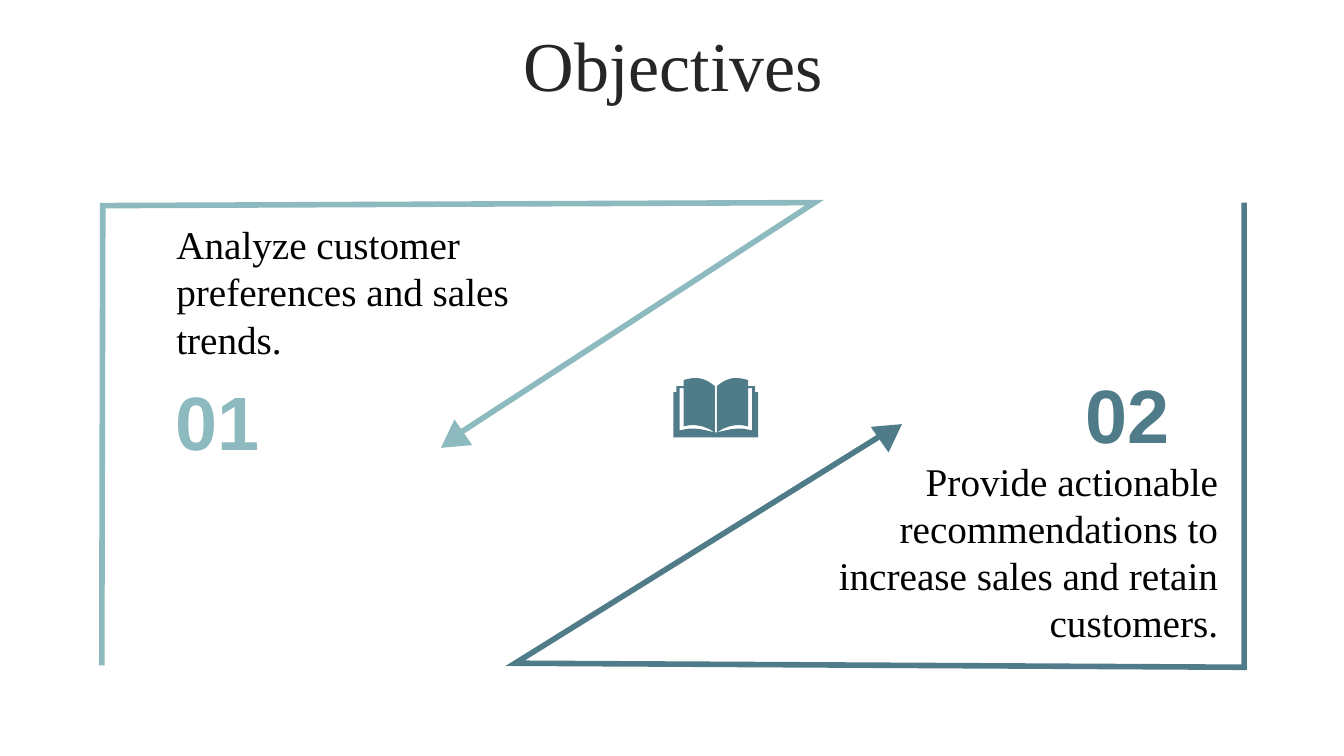
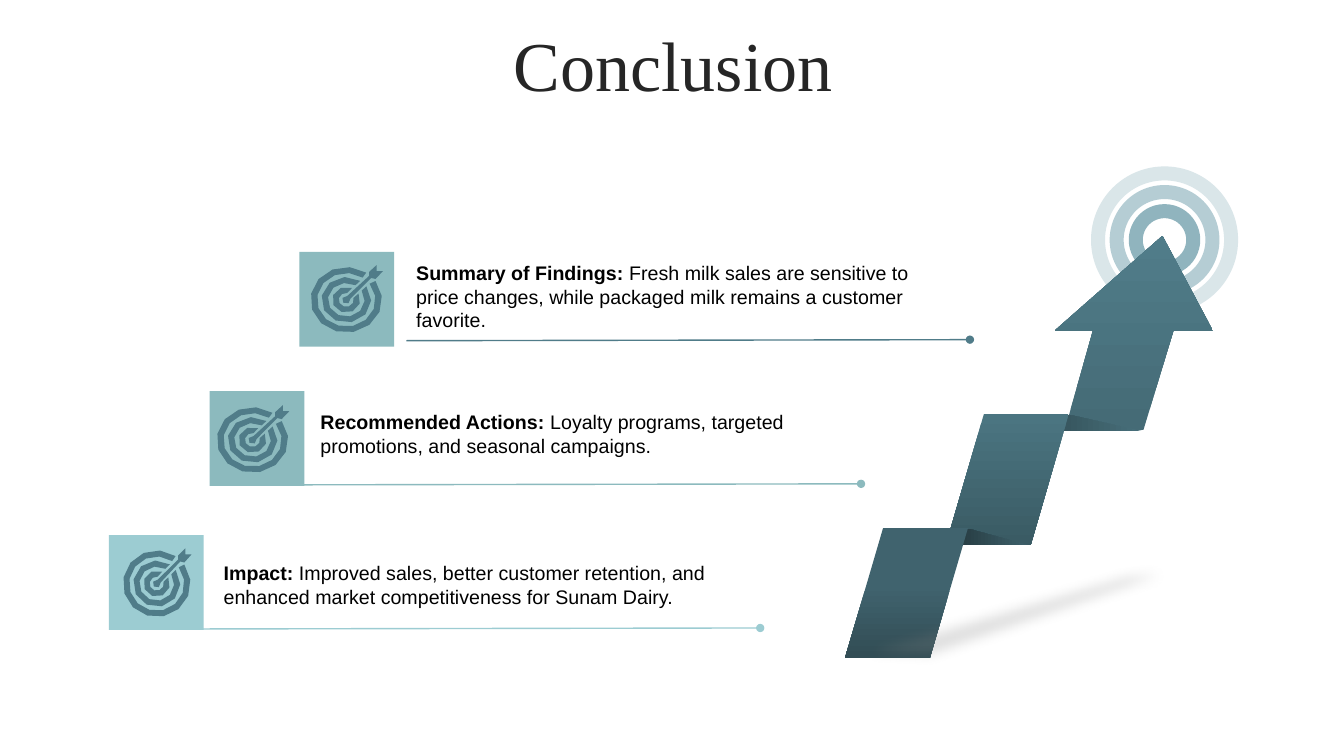
"""Build the Objectives and Conclusion slides."""
from dataclasses import dataclass
from math import cos, radians, sin

from pptx import Presentation
from pptx.dml.color import RGBColor
from pptx.enum.shapes import MSO_CONNECTOR, MSO_SHAPE
from pptx.enum.text import MSO_ANCHOR, MSO_AUTO_SIZE, PP_ALIGN
from pptx.oxml.ns import qn
from pptx.util import Inches, Pt
from lxml.etree import SubElement


@dataclass(frozen=True)
class Theme:
    serif: str = "Times New Roman"
    sans: str = "Arial"
    title_size: int = 50
    number_size: int = 54
    body_size: int = 28
    note_size: int = 14
    title: str = "262626"
    ink: str = "000000"
    dark: str = "507C89"
    mid: str = "8CBABE"
    light: str = "9CCCD2"
    shade: str = "808080"


THEME = Theme()

OBJECTIVES = [
    dict(number="01", text="Analyze customer preferences and sales trends.",
         color=THEME.mid, align=PP_ALIGN.LEFT,
         number_at=(1.55, 3.66, 1.22, 1.01), text_at=(1.65, 2.14, 4.49, 1.51),
         frame=[(1.01, 6.6), (1.02, 2.04), (8.08, 2.01), (4.57, 4.29)],
         head_at=(4.33, 4.23, 0.31, 0.27), turn=235.2),
    dict(number="02",
         text="Provide actionable recommendations to increase sales and retain customers.",
         color=THEME.dark, align=PP_ALIGN.RIGHT,
         number_at=(10.57, 3.59, 1.22, 1.01), text_at=(7.73, 4.49, 4.45, 1.99),
         frame=[(12.34, 2.01), (12.34, 6.62), (5.11, 6.58), (8.74, 4.32)],
         head_at=(8.68, 4.15, 0.31, 0.27), turn=55.2),
]

CONCLUSIONS = [
    dict(lead="Summary of Findings:",
         text=" Fresh milk sales are sensitive to price changes, "
              "while packaged milk remains a customer favorite.",
         text_at=(4.03, 2.54, 5.2, 0.81), tile=(2.97, 2.5), icon=(3.08, 2.63, 0.72, 0.67),
         rule=(4.03, 3.38), rule_color=THEME.dark, tile_color=THEME.mid),
    dict(lead="Recommended Actions:",
         text=" Loyalty programs, targeted promotions, and seasonal campaigns.",
         text_at=(3.08, 4.02, 5.1, 0.57), tile=(2.08, 3.88), icon=(2.15, 4.02, 0.72, 0.67),
         rule=(2.95, 4.81), rule_color=THEME.mid, tile_color=THEME.mid),
    dict(lead="Impact:",
         text=" Improved sales, better customer retention, "
              "and enhanced market competitiveness for Sunam Dairy.",
         text_at=(2.12, 5.52, 5.1, 0.57), tile=(1.08, 5.31), icon=(1.22, 5.44, 0.68, 0.68),
         rule=(1.95, 6.24), rule_color=THEME.light, tile_color=THEME.light),
]
TILE_SIZE = 0.94
RULE_RUN, RULE_RISE = 5.59, 0.01

BULLSEYE = (11.55, 2.38)
BULLSEYE_RINGS = [(0.95, "B5CDD4"), (0.57, "90B4BE"), (1.32, "DAE6E9")]
ARROW = [(11.53, 2.34), (12.03, 3.28), (11.64, 3.28), (11.34, 4.27),
         (10.56, 4.27), (10.84, 3.28), (10.46, 3.28)]
ARROW_STOPS = [(0, "456B76"), (0.99, "507C89")]
RIBBON = [
    dict(fold=[(11.34, 4.28), (10.63, 4.12), (9.78, 4.12), (10.29, 4.28)],
         fold_stops=[(0, "48707B"), (0.99, "263C42")],
         panel_at=(9.38, 4.11, 1.22, 1.3),
         panel_stops=[(0, "4B7581"), (0.99, "3A5B64")]),
    dict(fold=[(10.21, 5.41), (9.62, 5.25), (8.76, 5.24), (9.22, 5.4)],
         fold_stops=[(0, "3E616B"), (0.99, "0E1517")],
         panel_at=(8.38, 5.24, 1.22, 1.29),
         panel_stops=[(0.44, "40636E"), (0.99, "324D55")]),
]
PANEL_SLANT = 0.31
SHADOW = [(7.82, 6.54), (9.25, 6.6), (9.36, 6.59), (12.56, 5.49), (11.05, 5.61)]


def bezier(start, first, second, end, steps=5):
    def blend(t, axis):
        return ((1 - t) ** 3 * start[axis] + 3 * (1 - t) ** 2 * t * first[axis]
                + 3 * (1 - t) * t ** 2 * second[axis] + t ** 3 * end[axis])
    return [(blend(i / steps, 0), blend(i / steps, 1)) for i in range(steps + 1)]


def arc(radius, start, end, steps):
    angles = [radians(start + (end - start) * i / steps) for i in range(steps + 1)]
    return [(radius * cos(a), -radius * sin(a)) for a in angles]


def book_contours():
    leaf = (bezier((6.78, 3.77), (6.82, 3.76), (6.86, 3.75), (6.9, 3.75))
            + bezier((6.9, 3.75), (6.97, 3.75), (7.03, 3.78), (7.09, 3.83))
            + bezier((7.09, 4.29), (6.99, 4.22), (6.88, 4.2), (6.78, 4.23)))
    cover = ([(6.68, 4.34), (6.68, 3.89), (6.71, 3.89), (6.71, 3.83),
              (6.78, 3.83), (6.78, 3.85), (6.74, 3.85)]
             + bezier((6.74, 4.27), (6.88, 4.23), (6.96, 4.26), (7.09, 4.29))
             + [(7.1, 4.29), (7.1, 4.34)])
    mirrored = [[(14.2 - x, y) for x, y in side] for side in (leaf, cover)]
    return [leaf, cover] + mirrored


def dartboard_contours(left, top, width, height):
    outer = arc(0.33, 35, -304, 12) + arc(0.27, -304, 37, 12)
    middle = arc(0.23, 36, -304, 9) + arc(0.17, -300, 33, 9)
    inner = arc(0.13, 29, -294, 7) + arc(0.07, -278, 16, 7)
    dart = ([(0.28, -0.35), (0.28, -0.29), (0.34, -0.29), (0.27, -0.21),
             (0.23, -0.22)] + arc(0.04, 16, -284, 4) + [(0.21, -0.24), (0.21, -0.28)])
    return [[(left + (x + 0.33) * width / 0.67, top + (y + 0.35) * height / 0.68)
             for x, y in contour] for contour in (outer, middle, inner, dart)]


def style(shape, fill=None, stops=None, angle=0, line=None, width=1):
    shape.shadow.inherit = False
    if stops:
        shape.fill.gradient()
        shape.fill.gradient_angle = angle
        for stop, (position, color) in zip(shape.fill.gradient_stops, stops):
            stop.position = position
            stop.color.rgb = RGBColor.from_string(color)
    elif fill:
        shape.fill.solid()
        shape.fill.fore_color.rgb = RGBColor.from_string(fill)
    else:
        shape.fill.background()
    if line:
        shape.line.color.rgb = RGBColor.from_string(line)
        shape.line.width = Pt(width)
    else:
        shape.line.fill.background()
    return shape


def add_preset(page, kind, at, **look):
    return style(page.shapes.add_shape(kind, *map(Inches, at)), **look)


def add_outline(page, contours, close=True, **look):
    contours = [[(Inches(x), Inches(y)) for x, y in contour] for contour in contours]
    builder = page.shapes.build_freeform(*contours[0][0])
    for index, contour in enumerate(contours):
        if index:
            builder.move_to(*contour[0])
        builder.add_line_segments(contour[1:], close=close)
    return style(builder.convert_to_shape(), **look)


def add_text(page, text, at, lead="", size=THEME.note_size, font=THEME.sans,
             color=THEME.ink, bold=False, align=PP_ALIGN.LEFT,
             anchor=MSO_ANCHOR.TOP, spacing=None, grow=True):
    box = page.shapes.add_textbox(*map(Inches, at))
    frame = box.text_frame
    frame.word_wrap = True
    frame.vertical_anchor = anchor
    frame.auto_size = MSO_AUTO_SIZE.SHAPE_TO_FIT_TEXT if grow else MSO_AUTO_SIZE.NONE
    para = frame.paragraphs[0]
    para.alignment = align
    if spacing:
        para.line_spacing = spacing
    for words, heavy in ((lead, True), (text, bold)):
        if words:
            span = para.add_run()
            span.text = words
            span.font.name = font
            span.font.size = Pt(size)
            span.font.bold = heavy
            span.font.color.rgb = RGBColor.from_string(color)


def add_rule(page, start, color):
    x, y = start
    rule = page.shapes.add_connector(
        MSO_CONNECTOR.STRAIGHT, Inches(x), Inches(y),
        Inches(x + RULE_RUN), Inches(y - RULE_RISE))
    rule.line.color.rgb = RGBColor.from_string(color)
    rule.line.width = Pt(1)
    properties = rule.element.spPr
    SubElement(properties.find(qn("a:ln")), qn("a:tailEnd"), type="oval")
    SubElement(properties, qn("a:effectLst"))


def add_page(deck, title):
    page = deck.slides.add_slide(deck.slide_layouts[6])
    add_text(page, title, (0.35, 0.31, 12.66, 0.79), size=THEME.title_size,
             font=THEME.serif, color=THEME.title, align=PP_ALIGN.CENTER,
             anchor=MSO_ANCHOR.MIDDLE, spacing=0.8, grow=False)
    return page


def build_objectives(deck):
    page = add_page(deck, "Objectives")
    for goal in OBJECTIVES:
        frame = add_outline(page, [goal["frame"]], close=False,
                            line=goal["color"], width=4)
        SubElement(frame.element.spPr.find(qn("a:ln")), qn("a:miter"), lim="800000")
        head = add_preset(page, MSO_SHAPE.ISOSCELES_TRIANGLE, goal["head_at"],
                          fill=goal["color"])
        head.rotation = goal["turn"]
        add_text(page, goal["number"], goal["number_at"], size=THEME.number_size,
                 color=goal["color"], bold=True, align=PP_ALIGN.CENTER,
                 anchor=MSO_ANCHOR.MIDDLE)
        add_text(page, goal["text"], goal["text_at"], size=THEME.body_size,
                 font=THEME.serif, align=goal["align"])
    add_outline(page, book_contours(), fill=THEME.dark)


def add_rising_arrow(page):
    x, y = BULLSEYE
    for size, color in BULLSEYE_RINGS:
        add_preset(page, MSO_SHAPE.OVAL, (x - size / 2, y - size / 2, size, size),
                   line=color, width=10)
    add_outline(page, [ARROW], stops=ARROW_STOPS, angle=90)
    for part in RIBBON:
        add_outline(page, [part["fold"]], stops=part["fold_stops"], angle=180)
        panel = add_preset(page, MSO_SHAPE.PARALLELOGRAM, part["panel_at"],
                           stops=part["panel_stops"], angle=270)
        panel.adjustments[0] = PANEL_SLANT


def add_soft_shadow(page):
    properties = add_outline(page, [SHADOW], fill=THEME.shade).element.spPr
    color = properties.find(qn("a:solidFill")).find(qn("a:srgbClr"))
    SubElement(color, qn("a:alpha"), val="25000")
    SubElement(properties.find(qn("a:effectLst")), qn("a:softEdge"),
               rad=str(Inches(0.12)))


def build_conclusion(deck):
    page = add_page(deck, "Conclusion")
    add_rising_arrow(page)
    for point in CONCLUSIONS:
        add_rule(page, point["rule"], point["rule_color"])
        add_text(page, point["text"], point["text_at"], lead=point["lead"])
        add_preset(page, MSO_SHAPE.RECTANGLE, (*point["tile"], TILE_SIZE, TILE_SIZE),
                   fill=point["tile_color"])
        add_outline(page, dartboard_contours(*point["icon"]), fill=THEME.dark)
    add_soft_shadow(page)


def main():
    deck = Presentation()
    deck.slide_width, deck.slide_height = Inches(13.33), Inches(7.5)
    build_objectives(deck)
    build_conclusion(deck)
    deck.save("out.pptx")


if __name__ == "__main__":
    main()
